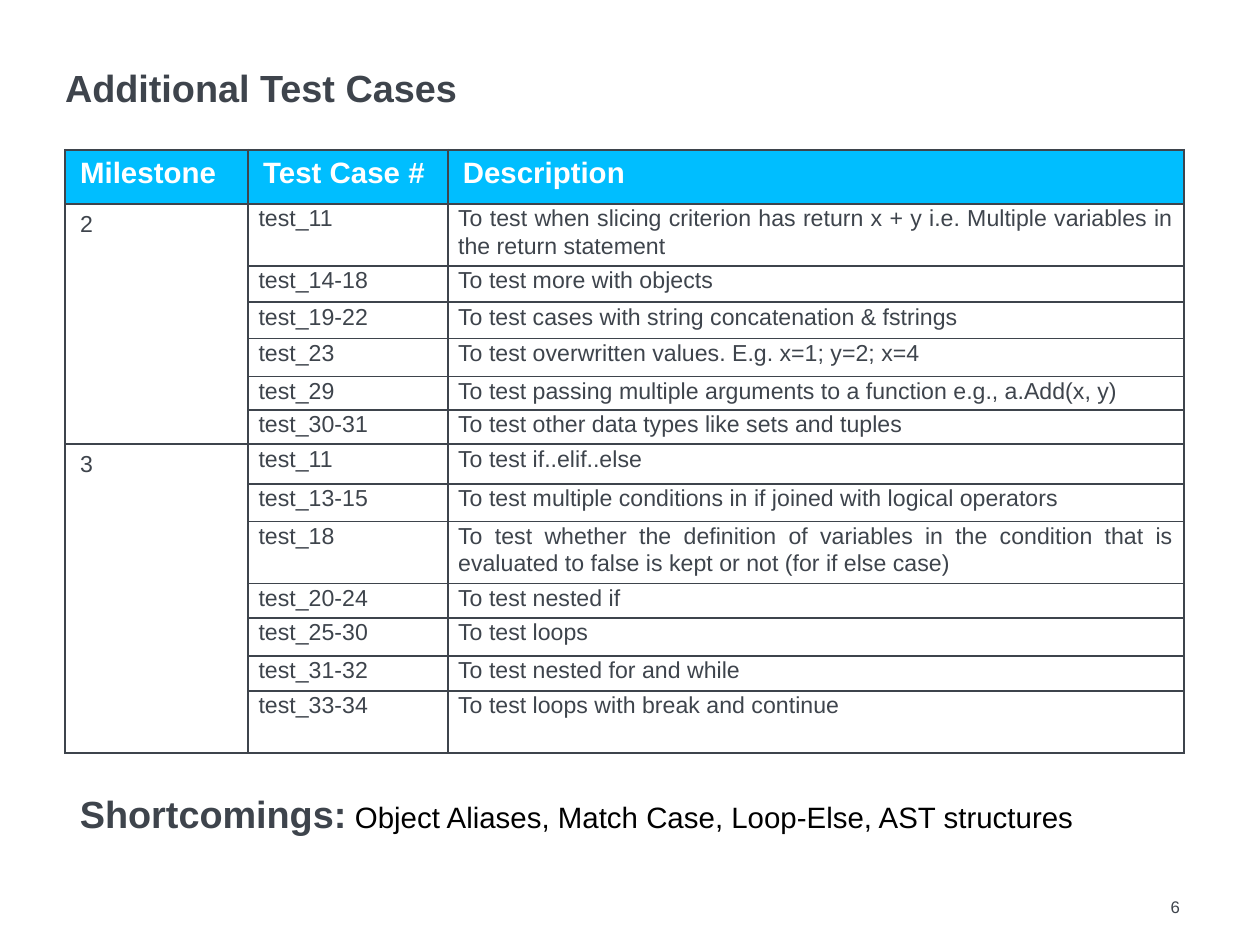
from lxml import etree
from pptx import Presentation
from pptx import util as u
from pptx.dml.color import RGBColor
from pptx.enum import text
from pptx.oxml.ns import qn

TITLE = "Additional Test Cases"
HEADERS = ("Milestone", "Test Case #", "Description")
# milestone -> (test case, description, row height)
MILESTONES = {
    "2": [
        ("test_11", "To test when slicing criterion has return x + y i.e. "
                    "Multiple variables in the return statement", 0.41),
        ("test_14-18", "To test more with objects", 0.24),
        ("test_19-22", "To test cases with string concatenation & fstrings", 0.24),
        ("test_23", "To test overwritten values. E.g. x=1; y=2; x=4", 0.25),
        ("test_29", "To test passing multiple arguments to a function "
                    "e.g., a.Add(x, y)", 0.22),
        ("test_30-31", "To test other data types like sets and tuples", 0.23),
    ],
    "3": [
        ("test_11", "To test if..elif..else", 0.26),
        ("test_13-15", "To test multiple conditions in if joined with "
                       "logical operators", 0.25),
        ("test_18", "To test whether the definition of variables in the condition "
                    "that is evaluated to false is kept or not (for if else case)", 0.41),
        ("test_20-24", "To test nested if", 0.23),
        ("test_25-30", "To test loops", 0.25),
        ("test_31-32", "To test nested for and while", 0.23),
        ("test_33-34", "To test loops with break and continue", 0.41),
    ],
}
SHORTCOMINGS = ("Shortcomings:", " ",
                "Object Aliases, Match Case, Loop-Else, AST structures")
PAGE = "6"

SLATE = RGBColor(0x3E, 0x44, 0x4C)
CYAN = RGBColor(0x00, 0xBE, 0xFF)
WHITE = RGBColor(0xFF, 0xFF, 0xFF)
BLACK = RGBColor(0x00, 0x00, 0x00)

W, H = 8.33, 6.25
LEFT, TABLE_TOP = 0.43, 0.99
COLS = (1.21, 1.32, 4.87)
HEADER_H = 0.36


def set_font(font, size, color=SLATE, bold=False):
    font.name, font.size, font.bold = "Arial", u.Pt(size), bold
    font.color.rgb = color


def add_text(s, left, top, width, height, inset=True):
    """Add a wrapping text box and return its frame and first paragraph."""
    tf = s.shapes.add_textbox(*map(u.Inches, (left, top, width, height))).text_frame
    tf.word_wrap = True
    if not inset:
        tf.margin_left = tf.margin_right = tf.margin_top = tf.margin_bottom = 0
    return tf, tf.paragraphs[0]


def add_borders(cell):
    """Draw 1 pt slate lines on all four sides; lines must precede the fill."""
    pr = cell._tc.get_or_add_tcPr()
    for i, side in enumerate(("lnL", "lnR", "lnT", "lnB")):
        ln = etree.Element(qn(f"a:{side}"), w=str(u.Pt(1)))
        fill = etree.SubElement(ln, qn("a:solidFill"))
        etree.SubElement(fill, qn("a:srgbClr"), val=str(SLATE))
        pr.insert(i, ln)


def fill_cell(cell, words, size=11, color=SLATE, bold=False, fill=WHITE, tight=False):
    """Write one cell; tight cells have no vertical inset and are justified."""
    cell.fill.solid()
    cell.fill.fore_color.rgb = fill
    add_borders(cell)
    cell.text = words
    p = cell.text_frame.paragraphs[0]
    set_font(p.font, size, color, bold)
    if tight:
        cell.margin_left = cell.margin_right = u.Inches(0.07)
        cell.margin_top = cell.margin_bottom = 0
        p.alignment = text.PP_ALIGN.JUSTIFY
        p.line_spacing, p.space_after = 1.07, u.Pt(8)


def add_test_table(s):
    heights = [HEADER_H] + [case[2] for cases in MILESTONES.values() for case in cases]
    table = s.shapes.add_table(
        len(heights), len(COLS), u.Inches(LEFT), u.Inches(TABLE_TOP),
        u.Inches(sum(COLS)), u.Inches(sum(heights))).table
    for col, width in zip(table.columns, COLS):
        col.width = u.Inches(width)
    for row, height in zip(table.rows, heights):
        row.height = u.Inches(height)

    for c, header in enumerate(HEADERS):
        fill_cell(table.cell(0, c), header, 14, WHITE, True, CYAN)
    first = 1
    for milestone, cases in MILESTONES.items():
        for r, (test, description, _) in enumerate(cases, first):
            fill_cell(table.cell(r, 0), milestone if r == first else "")
            fill_cell(table.cell(r, 1), test, tight=True)
            fill_cell(table.cell(r, 2), description, tight=True)
        table.cell(first, 0).merge(table.cell(first + len(cases) - 1, 0))
        first += len(cases)


def main():
    prs = Presentation()
    prs.slide_width, prs.slide_height = u.Inches(W), u.Inches(H)
    s = prs.slides.add_slide(prs.slide_layouts[6])

    tf, p = add_text(s, LEFT, 0.43, 7.48, 0.3, inset=False)
    tf.vertical_anchor = text.MSO_ANCHOR.BOTTOM
    p.text, p.line_spacing = TITLE, 0.9
    set_font(p.font, 18, bold=True)

    add_test_table(s)

    tf, p = add_text(s, LEFT, 5.18, 7.32, 0.4)
    styles = ((18, SLATE, True), (14, SLATE, False), (14, BLACK, False))
    for words, style in zip(SHORTCOMINGS, styles):
        r = p.add_run()
        r.text = words
        set_font(r.font, *style)

    tf, p = add_text(s, 7.74, 5.93, 0.24, 0.13, inset=False)
    p.text = PAGE
    set_font(p.font, 8)

    prs.save("out.pptx")


if __name__ == "__main__":
    main()
